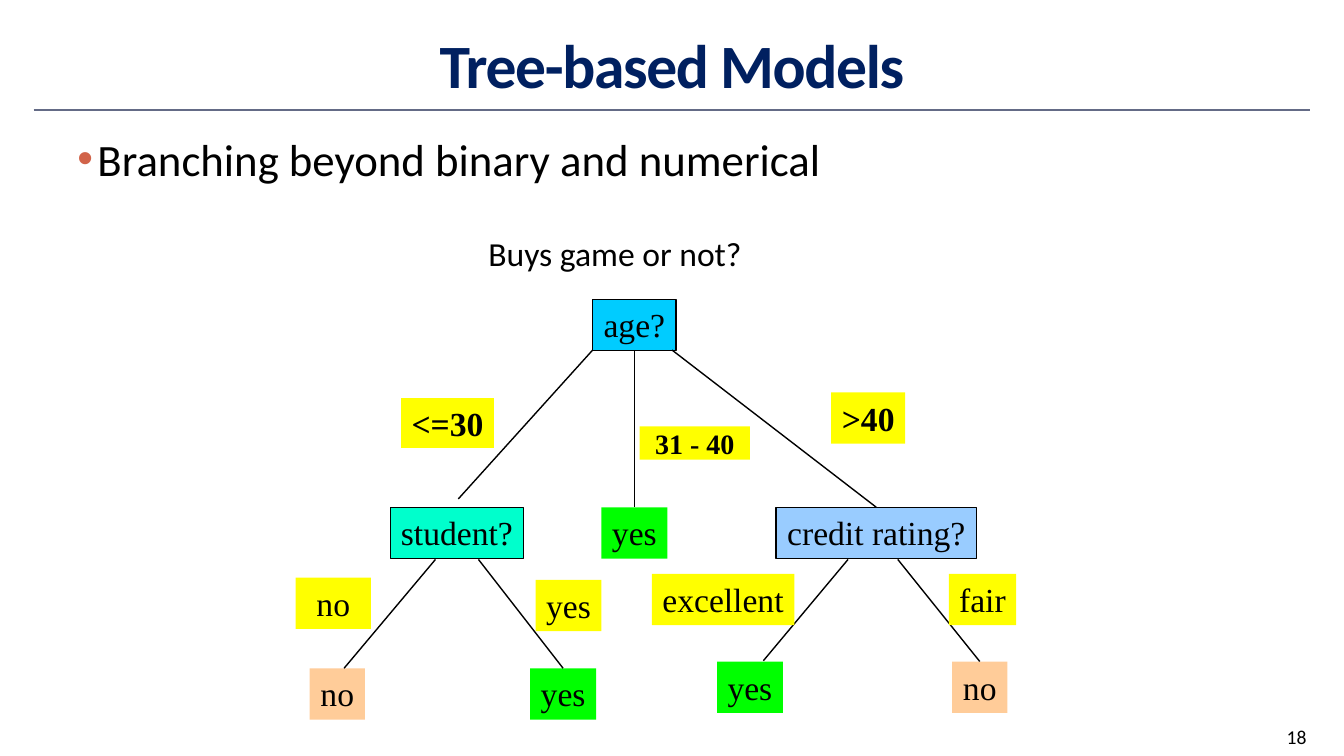
import pptx
import pptx.dml.color
import pptx.enum.shapes
import pptx.enum.text
import pptx.oxml.ns
import pptx.util
from lxml import etree

WIDTH, HEIGHT = 13.33, 7.5
SANS, SERIF = "Calibri", "Times New Roman"
ALIGN = pptx.enum.text.PP_ALIGN
ANCHOR = pptx.enum.text.MSO_ANCHOR
BOX_HEIGHT = 6.8
COLORS = {
    "black": "000000", "white": "FFFFFF", "navy": "002060", "rule": "646B86",
    "bullet": "D16349", "blue": "00CCFF", "teal": "00FFCC", "sky": "99CCFF",
    "yellow": "FFFF00", "green": "00FF00", "peach": "FFCC99",
}

# name: text, fill, border, center, top, width
NODES = {
    "age": ("age?", "blue", "black", 47.2, 39.6, 6.2),
    "student": ("student?", "teal", "black", 34, 67.1, 9.9),
    "credit": ("credit rating?", "sky", "black", 65.2, 67.1, 14.9),
    "middle": ("yes", "green", None, 47.2, 67.1, 4.9),
    "not_student": ("no", "peach", None, 25.1, 88.4, 4.1),
    "is_student": ("yes", "green", None, 41.9, 88.4, 4.9),
    "excellent": ("yes", "green", None, 55.8, 87.5, 4.9),
    "fair": ("no", "peach", None, 72.9, 87.5, 4.1),
}
BRANCHES = [
    ((44.1, 46.3), (34.1, 66)),
    ("age", "middle"),
    ((50, 46.3), "credit"),
    ((32.4, 74), (25.6, 88.4)),
    ((35.6, 74), "is_student"),
    ((63.1, 74), (56.8, 87.4)),
    ((66.8, 74), "fair"),
]
AGE_LABELS = [
    ("<=30", "white", 33.3, 52.5, 7, BOX_HEIGHT, 24),
    (">40", None, 64.6, 51.9, 5.5, BOX_HEIGHT, 24),
    ("31 - 40", None, 51.7, 56.4, 8.2, 4.4, 20),
]
ANSWER_LABELS = [
    ("no", 24.8, 76.4, 5.6),
    ("yes", 42.3, 76.7, 4.9),
    ("excellent", 53.8, 75.9, 10.6),
    ("fair", 73.1, 75.9, 5),
]


def across(share):
    return pptx.util.Inches(WIDTH * share / 100)


def down(share):
    return pptx.util.Inches(HEIGHT * share / 100)


def area(left, top, width, height):
    return across(left), down(top), across(width), down(height)


def rgb(name):
    return pptx.dml.color.RGBColor.from_string(COLORS[name])


def write(s, text, size=24, font=SERIF, color="black", bold=False,
          align=ALIGN.CENTER, anchor=ANCHOR.TOP, wrap=True, spacing=None):
    tf = s.text_frame
    tf.word_wrap = wrap
    tf.auto_size = pptx.enum.text.MSO_AUTO_SIZE.NONE
    tf.vertical_anchor = anchor
    p = tf.paragraphs[0]
    p.alignment = align
    p.space_before = pptx.util.Pt(0)
    r = p.add_run()
    r.text = text
    r.font.size = pptx.util.Pt(size)
    r.font.name = font
    r.font.bold = bold
    r.font.color.rgb = rgb(color)
    if spacing is not None:
        r.font._element.set("spc", str(spacing * 100))
    return p


def add_bullet(p, color, indent):
    pPr = p._p.get_or_add_pPr()
    pPr.set("marL", str(pptx.util.Inches(indent)))
    pPr.set("indent", str(-pptx.util.Inches(indent)))
    qn = pptx.oxml.ns.qn
    buClr = etree.SubElement(pPr, qn("a:buClr"))
    etree.SubElement(buClr, qn("a:srgbClr"), val=COLORS[color])
    etree.SubElement(pPr, qn("a:buFont"), typeface="Arial")
    etree.SubElement(pPr, qn("a:buChar"), char="•")


def place(s, *shares):
    s.left, s.top, s.width, s.height = area(*shares)
    return s


def add_text(slide, shares, text, **format):
    s = slide.shapes.add_textbox(*area(*shares))
    write(s, text, font=SANS, align=ALIGN.LEFT, **format)


def add_box(slide, text, fill, border, center, top, width,
            height=BOX_HEIGHT, **format):
    s = slide.shapes.add_shape(
        pptx.enum.shapes.MSO_SHAPE.RECTANGLE,
        *area(center - width / 2, top, width, height))
    s.shadow.inherit = False
    s.fill.solid()
    s.fill.fore_color.rgb = rgb(fill)
    if border:
        s.line.color.rgb = rgb(border)
        s.line.width = pptx.util.Pt(1)
    else:
        s.line.fill.background()
    write(s, text, **format)
    return s


def add_line(slide, start, end, color="black", width=1):
    c = slide.shapes.add_connector(
        pptx.enum.shapes.MSO_CONNECTOR.STRAIGHT, 0, 0, 0, 0)
    if isinstance(start, tuple):
        c.begin_x, c.begin_y = across(start[0]), down(start[1])
    else:
        c.begin_connect(start, 2)
    if isinstance(end, tuple):
        c.end_x, c.end_y = across(end[0]), down(end[1])
    else:
        c.end_connect(end, 0)
    c.line.color.rgb = rgb(color)
    c.line.width = pptx.util.Pt(width)
    etree.SubElement(c._element.spPr, pptx.oxml.ns.qn("a:effectLst"))


def add_tree(slide):
    nodes = {name: add_box(slide, *node) for name, node in NODES.items()}
    for start, end in BRANCHES:
        add_line(slide, nodes.get(start, start), nodes.get(end, end))
    for text, border, center, top, width, height, size in AGE_LABELS:
        add_box(slide, text, "yellow", border, center, top, width, height,
                size=size, bold=True, anchor=ANCHOR.MIDDLE)
    for text, center, top, width in ANSWER_LABELS:
        add_box(slide, text, "yellow", None, center, top, width)


def main():
    prs = pptx.Presentation()
    prs.slide_width = across(100)
    prs.slide_height = down(100)
    slide = prs.slides.add_slide(prs.slide_layouts[1])
    add_line(slide, (2.5, 14.5), (97.5, 14.5), color="rule", width=1.5)
    title = place(slide.shapes.title, 5, 2.3, 90, 12.2)
    write(title, "Tree-based Models", size=44, font=SANS, color="navy",
          bold=True, anchor=ANCHOR.MIDDLE, spacing=-1)
    body = place(slide.placeholders[1], 5, 16.7, 90, 77.7)
    p = write(body, "Branching beyond binary and numerical", size=32,
              font=SANS, align=ALIGN.LEFT)
    add_bullet(p, "bullet", 0.2)
    add_text(slide, (95, 95.2, 5, 4.8), "18", size=14)
    add_tree(slide)
    add_text(slide, (35.6, 30.1, 19.9, 6.7), "Buys game or not?", wrap=False)
    prs.save("out.pptx")


if __name__ == "__main__":
    main()
